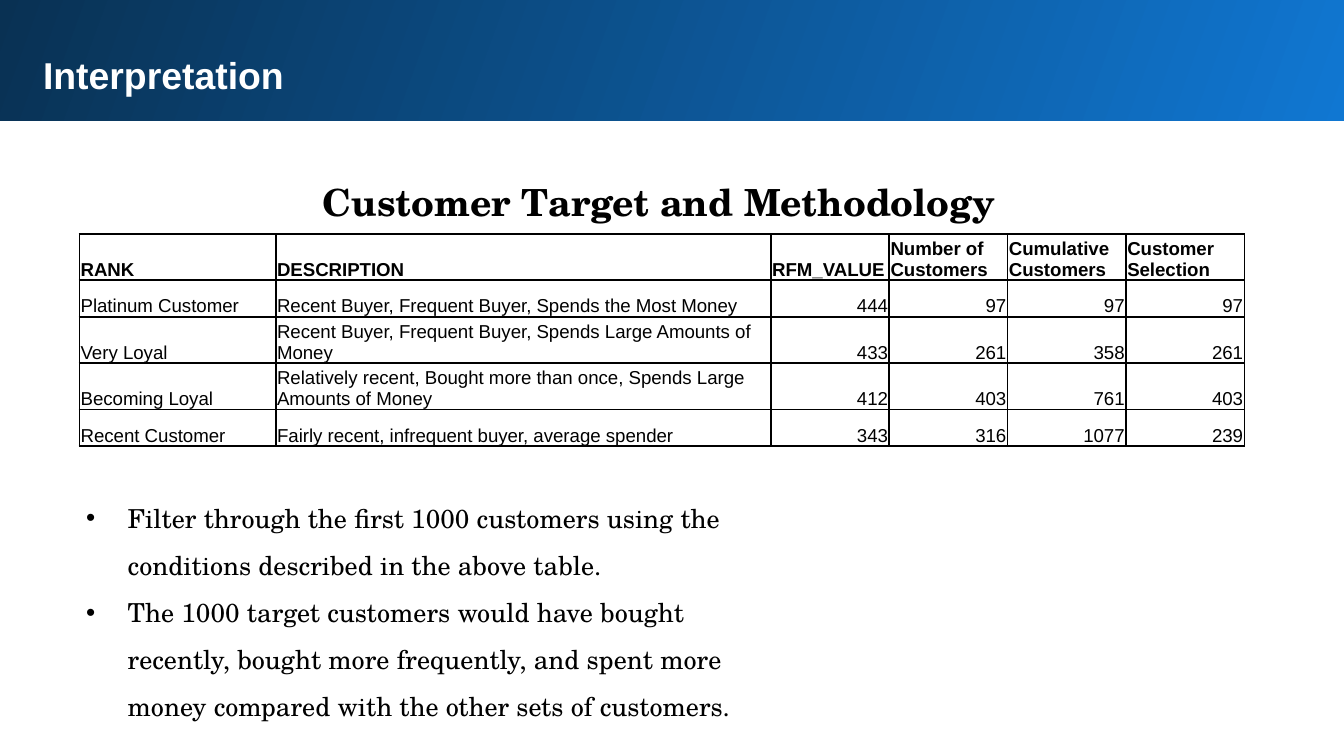
from lxml.etree import SubElement
from pptx import Presentation
from pptx.dml.color import RGBColor
from pptx.enum.shapes import MSO_SHAPE
from pptx.enum.text import MSO_ANCHOR as Anchor, MSO_AUTO_SIZE as AutoSize, PP_ALIGN as Align
from pptx.oxml.ns import qn
from pptx.util import Inches, Pt

SANS, SERIF = "Arial", "TeX Gyre Schola"
TABLE_WIDTH, TABLE_HEIGHT = 8.67, 1.58
COLUMN_SHARES = [1.46, 3.68] + [0.88] * 4
ROW_SHARES = [0.34, 0.27, 0.34, 0.34, 0.27]
ROWS = [
    ["RANK", "DESCRIPTION", "RFM_VALUE", "Number of Customers",
     "Cumulative Customers", "Customer Selection"],
    ["Platinum Customer", "Recent Buyer, Frequent Buyer, Spends the Most Money",
     "444", "97", "97", "97"],
    ["Very Loyal", "Recent Buyer, Frequent Buyer, Spends Large Amounts of Money",
     "433", "261", "358", "261"],
    ["Becoming Loyal",
     "Relatively recent, Bought more than once, Spends Large Amounts of Money",
     "412", "403", "761", "403"],
    ["Recent Customer", "Fairly recent, infrequent buyer, average spender",
     "343", "316", "1077", "239"],
]
BULLETS = [
    "Filter through the first 1000 customers using the conditions described "
    "in the above table.",
    "The 1000 target customers would have bought recently, bought more "
    "frequently, and spent more money compared with the other sets of customers.",
]


def color(hex_code):
    """Turn a hex string into a colour."""
    return RGBColor.from_string(hex_code)


def split(total, shares):
    """Divide a length in proportion to the shares."""
    return [Inches(total * share / sum(shares)) for share in shares]


def format_paragraph(paragraph, name, size, hex_code="000000", bold=False,
                     align=Align.LEFT, spacing=1.0):
    """Set the font, alignment and spacing of a paragraph."""
    font = paragraph.font
    font.name, font.size, font.bold = name, Pt(size), bold
    font.color.rgb = color(hex_code)
    paragraph.alignment = align
    paragraph.line_spacing = spacing
    paragraph.space_before = paragraph.space_after = Pt(0)


def place_text(shape, box, inset, lines, **style):
    """Move a text shape and fill it with equally formatted paragraphs."""
    shape.left, shape.top, shape.width, shape.height = map(Inches, box)
    frame = shape.text_frame
    frame.word_wrap = True
    frame.auto_size = AutoSize.NONE
    frame.vertical_anchor = Anchor.TOP
    frame.margin_left = frame.margin_right = Inches(inset)
    frame.margin_top = frame.margin_bottom = Inches(inset)
    frame.text = "\n".join(lines)
    for paragraph in frame.paragraphs:
        format_paragraph(paragraph, **style)


def add_banner(slide):
    """Add the gradient band behind the title."""
    banner = slide.shapes.add_shape(
        MSO_SHAPE.RECTANGLE, *map(Inches, (-0.02, -0.02, 10.05, 0.92)))
    banner.shadow.inherit = False
    banner.line.fill.background()
    banner.fill.gradient()
    banner.fill.gradient_angle = 160
    for stop, hex_code in zip(banner.fill.gradient_stops, ("1077D2", "093153")):
        stop.color.rgb = color(hex_code)
    slide.shapes._spTree.insert(2, banner._element)


def hang_bullets(shape, indent):
    """Give every paragraph a round bullet with a hanging indent."""
    for paragraph in shape.text_frame.paragraphs:
        properties = paragraph._p.get_or_add_pPr()
        properties.set("marL", str(Inches(indent)))
        properties.set("indent", str(-Inches(indent)))
        bullet = properties.makeelement(qn("a:buChar"), {"char": "•"})
        properties.find(qn("a:defRPr")).addprevious(bullet)


def add_borders(cell, hex_code, width):
    """Draw a solid line on all four sides of a cell."""
    properties = cell._tc.get_or_add_tcPr()
    for index, side in enumerate(("lnL", "lnR", "lnT", "lnB")):
        line = properties.makeelement(qn("a:" + side), {"w": str(Pt(width))})
        fill = SubElement(line, qn("a:solidFill"))
        SubElement(fill, qn("a:srgbClr"), val=hex_code)
        properties.insert(index, line)


def fill_cell(cell, text, header, numeric):
    """Write and format one table cell."""
    cell.text = text
    cell.fill.background()
    cell.vertical_anchor = Anchor.BOTTOM
    cell.margin_left = cell.margin_right = cell.margin_top = Inches(0.01)
    cell.margin_bottom = 0
    align = Align.RIGHT if numeric and not header else Align.LEFT
    format_paragraph(cell.text_frame.paragraphs[0], SANS, 10, bold=header, align=align)
    add_borders(cell, "000000", 1)


def add_rank_table(slide):
    """Add the table of customer ranks."""
    table = slide.shapes.add_table(
        len(ROWS), len(COLUMN_SHARES), Inches(0.59), Inches(1.74),
        Inches(TABLE_WIDTH), Inches(TABLE_HEIGHT)).table
    table.first_row = table.horz_banding = False
    for column, width in zip(table.columns, split(TABLE_WIDTH, COLUMN_SHARES)):
        column.width = width
    for row, height in zip(table.rows, split(TABLE_HEIGHT, ROW_SHARES)):
        row.height = height
    for row_index, texts in enumerate(ROWS):
        for column_index, text in enumerate(texts):
            fill_cell(table.cell(row_index, column_index), text,
                      header=row_index == 0, numeric=column_index > 1)


def main():
    """Build and save the slide."""
    presentation = Presentation()
    presentation.slide_width = Inches(10)
    presentation.slide_height = presentation.slide_width * 9 // 16
    slide = presentation.slides.add_slide(presentation.slide_layouts[1])
    title, body = slide.placeholders
    add_banner(slide)
    place_text(title, (0.22, 0.29, 9.37, 0.54), 0.1, ["Interpretation"],
               name=SANS, size=20, hex_code="FFFFFF", bold=True)
    subtitle = slide.shapes.add_textbox(0, 0, 0, 0)
    place_text(subtitle, (0.22, 1.18, 9.37, 0.56), 0.1,
               ["Customer Target and Methodology"], name=SERIF, size=20,
               bold=True, align=Align.CENTER, spacing=1.15)
    add_rank_table(slide)
    place_text(body, (0.59, 3.57, 5.13, 1.87), 0.05, BULLETS,
               name=SERIF, size=14, spacing=1.5)
    hang_bullets(body, 0.31)
    presentation.save("out.pptx")


main()
